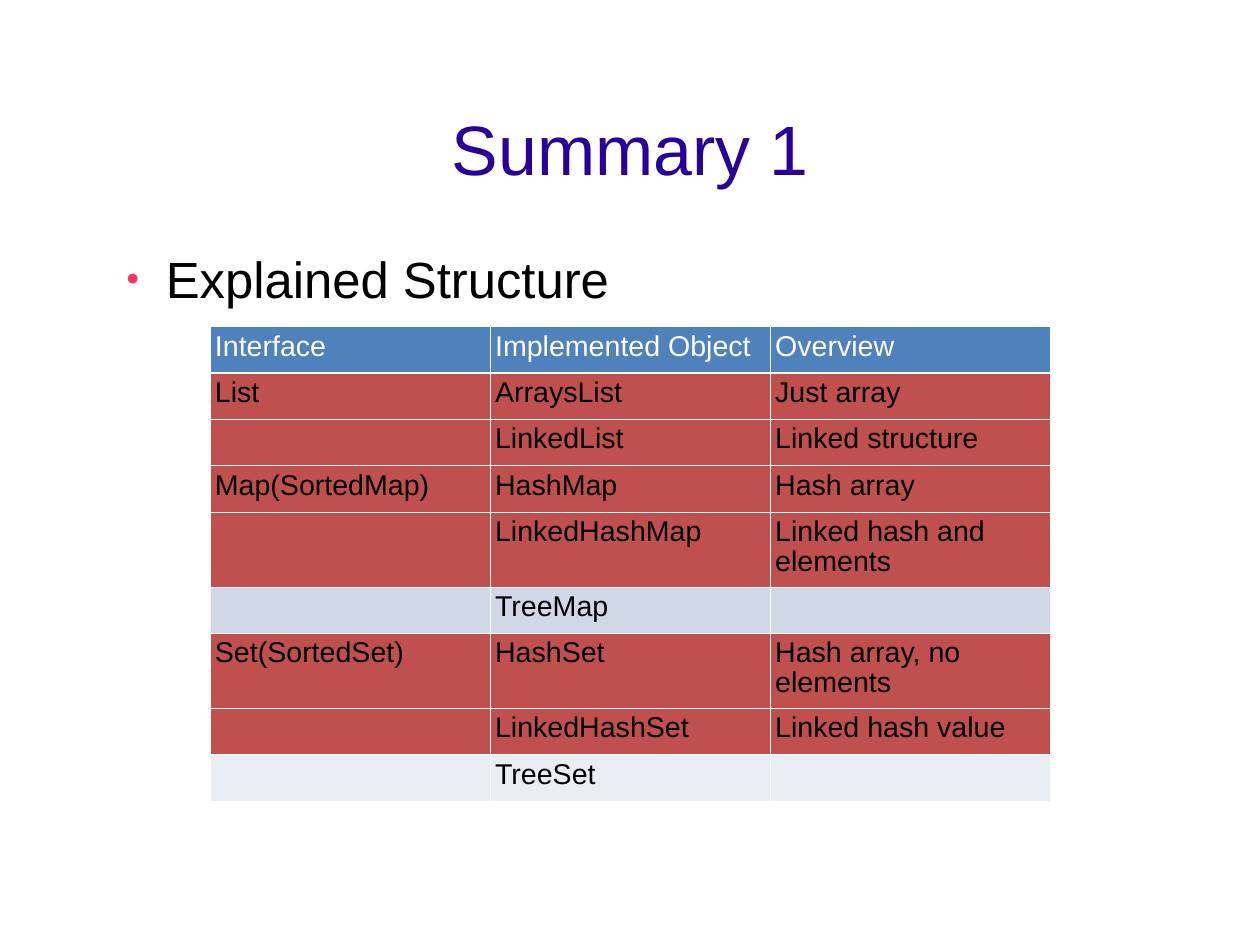
"""Build the collection summary slide with its structure table."""
from dataclasses import dataclass

from lxml import etree
from pptx import Presentation
from pptx.dml.color import RGBColor
from pptx.enum.text import MSO_ANCHOR, MSO_AUTO_SIZE, PP_ALIGN
from pptx.oxml.ns import qn
from pptx.util import Cm, Inches, Pt

CENTER, LEFT = PP_ALIGN.CENTER, PP_ALIGN.LEFT
MIDDLE, TOP = MSO_ANCHOR.MIDDLE, MSO_ANCHOR.TOP
NO_AUTOFIT = MSO_AUTO_SIZE.NONE
SLIDE_WIDTH = Cm(28)
SLIDE_HEIGHT = Cm(21)


@dataclass(frozen=True)
class Theme:
    """Colours, type sizes and line widths of the slide."""
    font: str = "Arial"
    title: str = "280099"
    text: str = "000000"
    white: str = "FFFFFF"
    bullet: str = "FF3366"
    header: str = "4F81BD"
    explained: str = "C0504D"
    band: str = "D0D8E8"
    light_band: str = "E9EDF4"
    title_size: int = 44
    body_size: int = 32
    cell_size: int = 18
    thin_line: float = 0.45
    header_line: float = 1.47


@dataclass(frozen=True)
class Region:
    """A box given in percent of the slide's width and height."""
    left: float
    top: float
    width: float
    height: float

    def lengths(self) -> tuple[int, int, int, int]:
        """Return left, top, width and height as slide lengths."""
        return (across(self.left), down(self.top),
                across(self.width), down(self.height))


@dataclass(frozen=True)
class Row:
    """One table row: its cell texts, fill and height in percent."""
    texts: tuple[str, str, str]
    fill: str
    height: float = 4.9


THEME = Theme()
TALL = 7.93
TITLE_REGION = Region(7.17, 7.86, 85.75, 15.48)
BODY_REGION = Region(8.9, 26.2, 82.2, 53.93)
ROWS = (
    Row(("Interface", "Implemented Object", "Overview"), THEME.header),
    Row(("List", "ArraysList", "Just array"), THEME.explained),
    Row(("", "LinkedList", "Linked structure"), THEME.explained),
    Row(("Map(SortedMap)", "HashMap", "Hash array"), THEME.explained),
    Row(("", "LinkedHashMap", "Linked hash and elements"), THEME.explained, TALL),
    Row(("", "TreeMap", ""), THEME.band),
    Row(("Set(SortedSet)", "HashSet", "Hash array, no elements"), THEME.explained, TALL),
    Row(("", "LinkedHashSet", "Linked hash value"), THEME.explained),
    Row(("", "TreeSet", ""), THEME.light_band),
)
TABLE_REGION = Region(16.7, 34.58, 66.7, sum(row.height for row in ROWS))


def across(percent: float) -> int:
    """Convert a share of the slide's width to a length."""
    return round(SLIDE_WIDTH * percent / 100)


def down(percent: float) -> int:
    """Convert a share of the slide's height to a length."""
    return round(SLIDE_HEIGHT * percent / 100)


def place(shape, region: Region) -> None:
    """Move and size a shape to fill a region."""
    shape.left, shape.top, shape.width, shape.height = region.lengths()


def prepare_frame(frame, anchor) -> None:
    """Give a text frame no margins, wrapping and a fixed size."""
    frame.margin_left = frame.margin_right = 0
    frame.margin_top = frame.margin_bottom = 0
    frame.word_wrap = True
    frame.auto_size = NO_AUTOFIT
    frame.vertical_anchor = anchor


def add_span(para, text: str, size: int, color: str) -> None:
    """Add one formatted run to a paragraph."""
    span = para.add_run()
    span.text = text
    span.font.name = THEME.font
    span.font.size = Pt(size)
    span.font.bold = False
    span.font.color.rgb = RGBColor.from_string(color)


def add_bullet(para) -> None:
    """Give a paragraph a small coloured dot and a hanging indent."""
    properties = para._p.get_or_add_pPr()
    properties.set("marL", str(Inches(0.47)))
    properties.set("indent", str(Inches(-0.35)))
    color = etree.SubElement(properties, qn("a:buClr"))
    etree.SubElement(color, qn("a:srgbClr"), val=THEME.bullet)
    etree.SubElement(properties, qn("a:buSzPct"), val="45000")
    etree.SubElement(properties, qn("a:buFont"), typeface=THEME.font)
    etree.SubElement(properties, qn("a:buChar"), char="●")


def add_borders(cell, top: float, bottom: float) -> None:
    """Draw white lines around a table cell."""
    properties = cell._tc.get_or_add_tcPr()
    widths = {"lnL": THEME.thin_line, "lnR": THEME.thin_line,
              "lnT": top, "lnB": bottom}
    for position, (side, width) in enumerate(widths.items()):
        line = etree.Element(qn(f"a:{side}"), w=str(Pt(width)))
        fill = etree.SubElement(line, qn("a:solidFill"))
        etree.SubElement(fill, qn("a:srgbClr"), val=THEME.white)
        properties.insert(position, line)


def add_title(slide) -> None:
    """Fill and format the title placeholder."""
    title = slide.shapes.title
    place(title, TITLE_REGION)
    prepare_frame(title.text_frame, MIDDLE)
    para = title.text_frame.paragraphs[0]
    para.alignment = CENTER
    add_span(para, "Summary 1", THEME.title_size, THEME.title)


def add_body(slide) -> None:
    """Add the bulleted line above the table."""
    box = slide.shapes.add_textbox(*BODY_REGION.lengths())
    prepare_frame(box.text_frame, TOP)
    para = box.text_frame.paragraphs[0]
    add_bullet(para)
    para.alignment = LEFT
    para.space_after = Pt(14.1)
    add_span(para, "Explained Structure", THEME.body_size, THEME.text)


def fill_cell(cell, text: str, row: Row, row_index: int) -> None:
    """Format one table cell and write its text."""
    is_header = row_index == 0
    cell.margin_left = cell.margin_right = Inches(0.04)
    cell.margin_top = cell.margin_bottom = Inches(0.05)
    cell.vertical_anchor = TOP
    cell.fill.solid()
    cell.fill.fore_color.rgb = RGBColor.from_string(row.fill)
    add_borders(cell,
                THEME.header_line if row_index == 1 else THEME.thin_line,
                THEME.header_line if is_header else THEME.thin_line)
    para = cell.text_frame.paragraphs[0]
    para.line_spacing = 0.93
    if text:
        color = THEME.white if is_header else THEME.text
        add_span(para, text, THEME.cell_size, color)


def add_structure_table(slide) -> None:
    """Add the table of interfaces and their implementations."""
    column_count = len(ROWS[0].texts)
    frame = slide.shapes.add_table(len(ROWS), column_count, *TABLE_REGION.lengths())
    table = frame.table
    table.horz_banding = False
    for column in table.columns:
        column.width = across(TABLE_REGION.width / column_count)
    for row_index, row in enumerate(ROWS):
        table.rows[row_index].height = down(row.height)
        for column_index, text in enumerate(row.texts):
            fill_cell(table.cell(row_index, column_index), text, row, row_index)


def main() -> None:
    """Create the deck and save it."""
    deck = Presentation()
    deck.slide_width = SLIDE_WIDTH
    deck.slide_height = SLIDE_HEIGHT
    slide = deck.slides.add_slide(deck.slide_layouts.get_by_name("Title Only"))
    add_title(slide)
    add_body(slide)
    add_structure_table(slide)
    deck.save("out.pptx")


if __name__ == "__main__":
    main()
